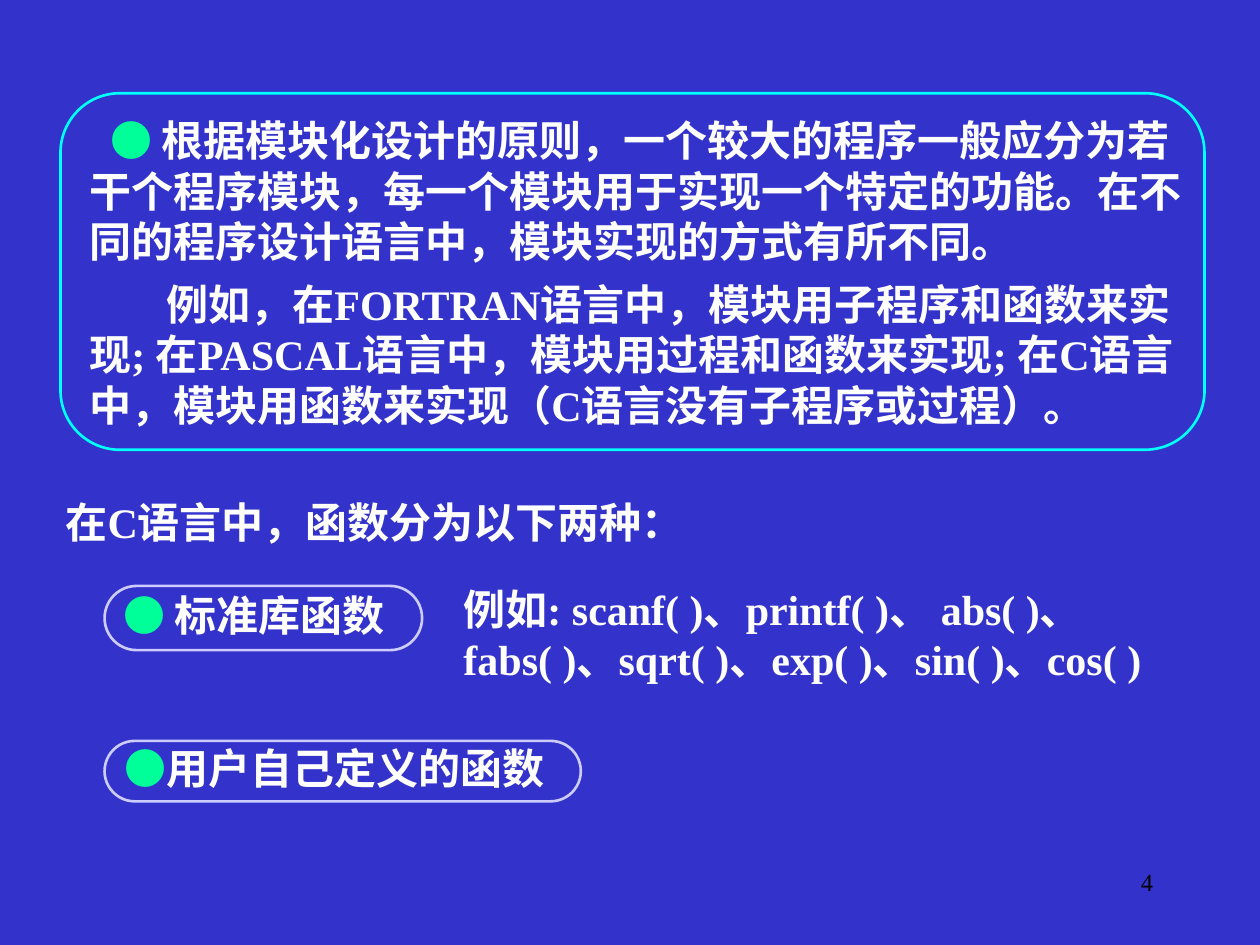
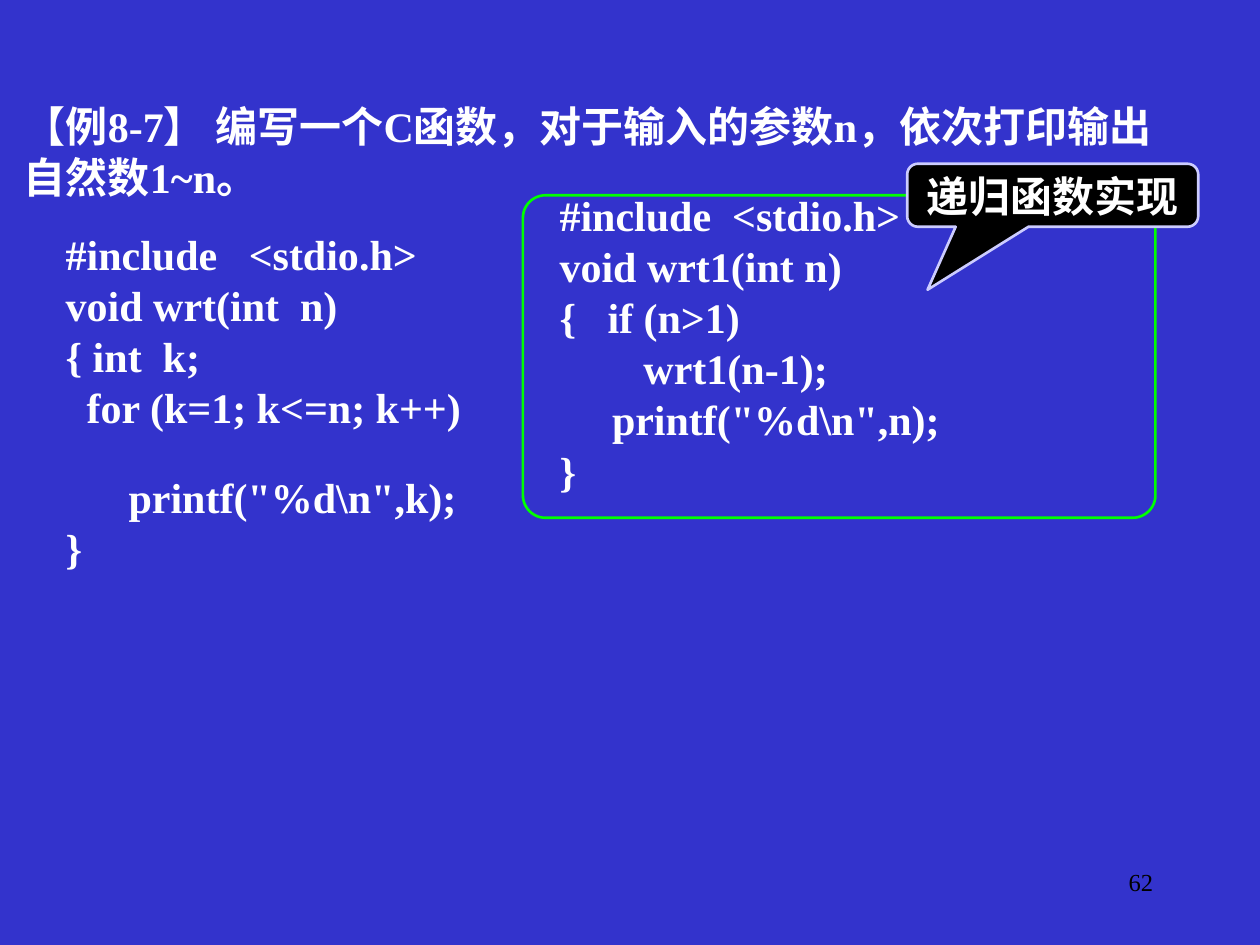
from dataclasses import dataclass

from lxml.etree import SubElement
from pptx import Presentation
from pptx.dml.color import RGBColor
from pptx.enum.shapes import MSO_SHAPE
from pptx.enum.text import MSO_ANCHOR, MSO_AUTO_SIZE, PP_ALIGN
from pptx.oxml.ns import qn
from pptx.util import Inches, Pt

BLUE = RGBColor(0x33, 0x33, 0xCC)
WHITE = RGBColor(0xFF, 0xFF, 0xFF)
BLACK = RGBColor(0x00, 0x00, 0x00)
MINT = RGBColor(0x00, 0xFF, 0x99)
CYAN = RGBColor(0x00, 0xFF, 0xFF)
GREEN = RGBColor(0x00, 0xFF, 0x00)
LILAC = RGBColor(0xCC, 0xCC, 0xFF)

CELL = Inches(0.1)  # the slide is a grid of 100 columns by 75 rows
COLUMNS, ROWS = 100, 75
LINE_ROWS = 5  # height of a one-line box

STRONG = {"name": "Times New Roman", "size": Pt(24), "bold": True, "color": WHITE}
DOT = STRONG | {"bold": False, "color": MINT}
SMALL = STRONG | {"size": Pt(14), "bold": False, "color": BLACK}
PARAGRAPH_GAP = Pt(7.2)
CODE_LEADING = Pt(22)


@dataclass
class Box:
    """Left, top, width and height in grid columns and rows."""
    left: float
    top: float
    width: float
    height: float

    def inside(self, left, top, width, height):
        return Box(self.left + left, self.top + top, width, height)

    def lengths(self):
        return [int(cells * CELL) for cells in
                (self.left, self.top, self.width, self.height)]


def add_spans(para, *spans):
    """Add (text, format) pairs to a paragraph as runs."""
    for text, style in spans:
        span = para.add_run()
        span.text = text
        for key, value in style.items():
            if key == "color":
                span.font.color.rgb = value
            else:
                setattr(span.font, key, value)


def set_frame(shape, box, auto_size=MSO_AUTO_SIZE.SHAPE_TO_FIT_TEXT):
    for key, value in zip(("left", "top", "width", "height"), box.lengths()):
        setattr(shape, key, value)
    frame = shape.text_frame
    settings = {"word_wrap": True, "auto_size": auto_size,
                "vertical_anchor": MSO_ANCHOR.TOP}
    for key, value in settings.items():
        setattr(frame, key, value)
    return frame


def add_text(page, box, *spans):
    frame = set_frame(page.shapes.add_textbox(*box.lengths()), box)
    add_spans(frame.paragraphs[0], *spans)
    return frame


def add_outline(page, box, color, *adjustments, kind=MSO_SHAPE.ROUNDED_RECTANGLE):
    shape = page.shapes.add_shape(kind, *box.lengths())
    shape.shadow.inherit = False
    shape.fill.background()
    shape.line.color.rgb = color
    shape.line.width = Pt(1.5)
    for index, value in enumerate(adjustments):
        shape.adjustments[index] = value
    return shape


def fill_title(page, box, text):
    title = page.shapes.title
    para = set_frame(title, box, MSO_AUTO_SIZE.NONE).paragraphs[0]
    para.alignment = PP_ALIGN.LEFT
    add_spans(para, (text, STRONG))


def add_page_number(page, number):
    frame = add_text(page, Box(71.7, 68.3, 20.8, LINE_ROWS), (str(number), SMALL))
    frame.paragraphs[0].alignment = PP_ALIGN.RIGHT


def add_principle(page, box, paragraphs):
    """Fill the body placeholder with (first-line indent, spans) paragraphs."""
    add_outline(page, box, CYAN)
    frame = set_frame(page.placeholders[1], box.inside(1.3, 1.2, 90, 26.5),
                      MSO_AUTO_SIZE.NONE)
    for index, (indent, spans) in enumerate(paragraphs):
        para = frame.add_paragraph() if index else frame.paragraphs[0]
        properties = para._p.get_or_add_pPr()
        properties.set("marL", "0")
        properties.set("indent", str(indent))
        SubElement(properties, qn("a:buNone"))
        para.space_before = PARAGRAPH_GAP if index else Pt(0)
        add_spans(para, *spans)


def add_pill(page, box, text_left, text_top, dot, label):
    add_text(page, box.inside(text_left, text_top, box.width, LINE_ROWS),
             (dot, DOT), (label, STRONG))
    add_outline(page, box, LILAC, 0.5)


def add_code(page, box, code, wide_gap_line=None):
    """Write one paragraph a line, with a free line above wide_gap_line."""
    frame = add_text(page, box)
    for index, line in enumerate(code.splitlines()):
        para = frame.add_paragraph() if index else frame.paragraphs[0]
        para.line_spacing = CODE_LEADING
        if index:
            extra = CODE_LEADING if index == wide_gap_line else 0
            para.space_before = PARAGRAPH_GAP + extra
        add_spans(para, (line, STRONG))


def add_recursive_version(page, box, code, label):
    add_code(page, box.inside(-1.4, 0, 53.3, 26.5), code)
    add_outline(page, box, GREEN, 0.07)
    callout = add_outline(page, box.inside(30.5, -2.5, 23.1, LINE_ROWS), LILAC,
                          -0.43, 1.5, 0.17,
                          kind=MSO_SHAPE.ROUNDED_RECTANGULAR_CALLOUT)
    callout.fill.solid()
    callout.fill.fore_color.rgb = BLACK
    para = callout.text_frame.paragraphs[0]
    para.alignment = PP_ALIGN.CENTER
    add_spans(para, (label, STRONG))


PRINCIPLE = [
    (Pt(12), [("● ", DOT), (
        "根据模块化设计的原则，一个较大的程序一般应分为若干个程序模块，"
        "每一个模块用于实现一个特定的功能。在不同的程序设计语言中，"
        "模块实现的方式有所不同。", STRONG)]),
    (Pt(44), [(
        "例如，在FORTRAN语言中，模块用子程序和函数来实现; "
        "在PASCAL语言中，模块用过程和函数来实现; "
        "在C语言中，模块用函数来实现（C语言没有子程序或过程）。", STRONG)]),
]

LOOP_CODE = r"""    #include   <stdio.h>
    void wrt(int  n)
    { int  k;
      for (k=1; k<=n; k++)
          printf("%d\n",k);
    }"""

RECURSIVE_CODE = r"""    #include  <stdio.h>
    void wrt1(int n)
    {   if (n>1)
            wrt1(n-1);
         printf("%d\n",n);
    }"""


def build_function_kinds(deck):
    page = deck.slides.add_slide(deck.slide_layouts.get_by_name("Title and Content"))
    add_principle(page, Box(4.8, 7.4, 90.8, 28.3), PRINCIPLE)
    fill_title(page, Box(4.2, 38.9, 52.8, LINE_ROWS), "在C语言中，函数分为以下两种：")
    add_pill(page, Box(8.3, 46.5, 25.2, 5.1), 0.5, -0.2, "● ", "标准库函数")
    add_pill(page, Box(8.3, 58.8, 37.8, 4.8), 0.6, -0.4, "●", "用户自己定义的函数")
    add_text(page, Box(35.8, 45.8, 55.8, 9.1), (
        "例如: scanf( )、printf( )、 abs( )、 fabs( )、sqrt( )、exp( )、"
        "sin( )、cos( )", STRONG))
    add_page_number(page, 4)


def build_recursion_example(deck):
    page = deck.slides.add_slide(deck.slide_layouts.get_by_name("Title Only"))
    fill_title(page, Box(0.9, 7.5, 94.2, 9.1),
               "【例8-7】 编写一个C函数，对于输入的参数n，依次打印输出自然数1~n。")
    add_code(page, Box(0.9, 18.6, 39.2, 25.6), LOOP_CODE, wide_gap_line=4)
    add_recursive_version(page, Box(41.5, 15.5, 50.2, 25.6),
                          RECURSIVE_CODE, "递归函数实现")
    add_page_number(page, 62)


def main():
    deck = Presentation()
    deck.slide_width, deck.slide_height = COLUMNS * CELL, ROWS * CELL
    background = deck.slide_master.background.fill
    background.solid()
    background.fore_color.rgb = BLUE
    build_function_kinds(deck)
    build_recursion_example(deck)
    deck.save("out.pptx")


if __name__ == "__main__":
    main()
